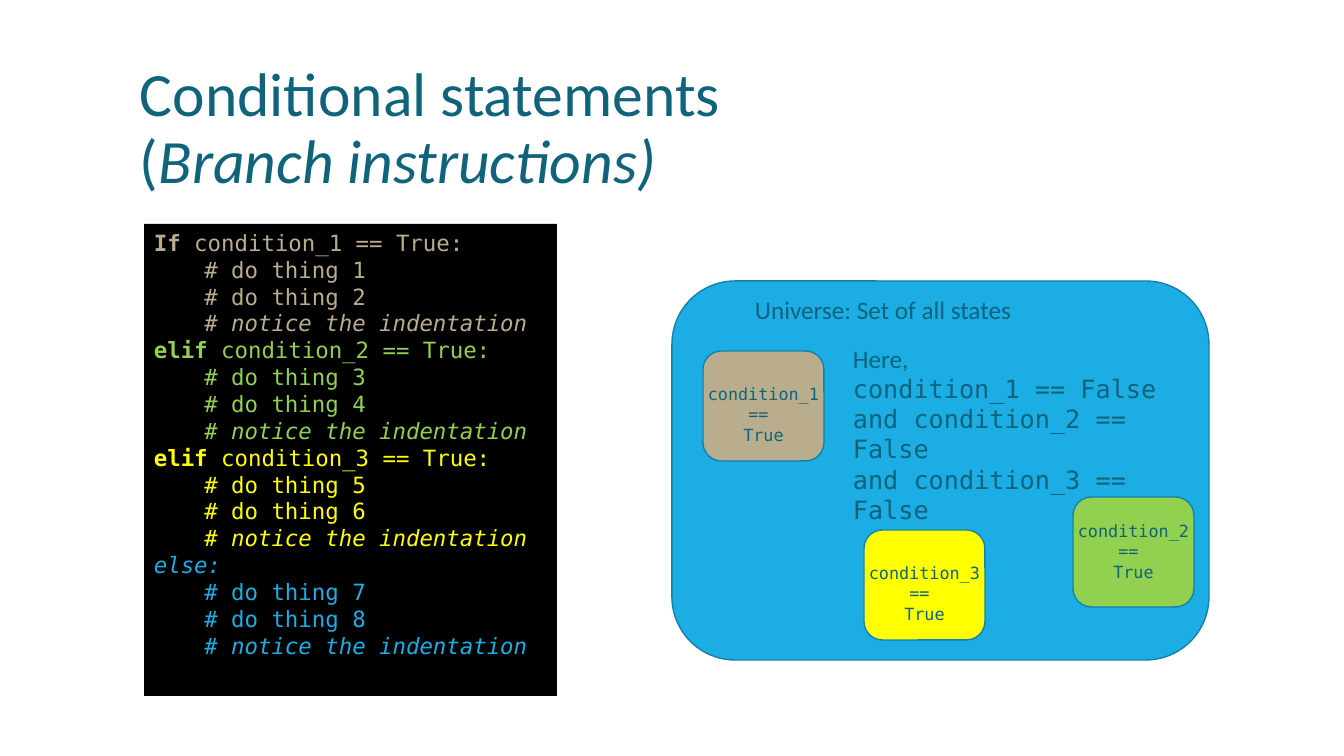
from pptx import Presentation
from pptx.dml.color import RGBColor
from pptx.enum.shapes import MSO_SHAPE
from pptx.enum.text import MSO_ANCHOR, PP_ALIGN
from pptx.util import Emu, Pt

SCALE = 914400 / 100.8
SANS, MONO = "Calibri", "DejaVu Sans Mono"
TEAL, EDGE, BLUE = "0F647B", "1580A9", "1CADE4"
TAN, GREEN, YELLOW, BLACK = "BAAD8D", "92D050", "FFFF00", "000000"


def px(n):
    return Emu(round(n * SCALE))


def color(code):
    return RGBColor.from_string(code)


def add_text(p, text, size=18, font=SANS, fill=TEAL, bold=False, italic=False):
    r = p.add_run()
    r.text = text
    f = r.font
    f.size, f.name, f.bold, f.italic = Pt(size), font, bold, italic
    f.color.rgb = color(fill)


class Deck:
    def __init__(self, width, height):
        self.prs = Presentation()
        self.prs.slide_width, self.prs.slide_height = px(width), px(height)
        self.s = self.prs.slides.add_slide(self.prs.slide_layouts[6])

    def shape(self, kind, box, fill, line=None):
        sp = self.s.shapes.add_shape(kind, *map(px, box))
        sp.shadow.inherit = False
        sp.fill.solid()
        sp.fill.fore_color.rgb = color(fill)
        if line:
            sp.line.color.rgb = color(line)
            sp.line.width = Pt(1)
        else:
            sp.line.fill.background()
        return sp

    def text_box(self, box, lines, align=PP_ALIGN.LEFT):
        """Each line is a (text, format) pair in its own paragraph."""
        tf = self.s.shapes.add_textbox(*map(px, box)).text_frame
        tf.word_wrap = True
        for i, (text, style) in enumerate(lines):
            p = tf.add_paragraph() if i else tf.paragraphs[0]
            p.alignment = align
            add_text(p, text, **style)
        return tf

    def code(self, box, branches):
        """Each branch is keyword, condition, keyword format, colour."""
        tf = self.shape(MSO_SHAPE.RECTANGLE, box, BLACK).text_frame
        tf.word_wrap = True
        tf.vertical_anchor = MSO_ANCHOR.TOP
        paragraphs = []

        def next_line():
            p = tf.add_paragraph() if paragraphs else tf.paragraphs[0]
            p.alignment = PP_ALIGN.LEFT
            paragraphs.append(p)
            return p

        for i, (keyword, condition, keyword_style, fill) in enumerate(branches):
            style = dict(size=16, font=MONO, fill=fill)
            p = next_line()
            add_text(p, keyword, **style, **keyword_style)
            if condition:
                add_text(p, condition, **style)
            things = [f"# do thing {2 * i + n}" for n in (1, 2)]
            for text in things + ["# notice the indentation"]:
                p = next_line()
                p.level = 1
                pPr = p._p.get_or_add_pPr()
                pPr.set("marL", "457200")
                pPr.set("indent", "0")
                add_text(p, text, italic="notice" in text, **style)


deck = Deck(1344, 756)

# Title
tf = deck.text_box((130, 46, 1080, 168),
                   [("Conditional statements", dict(size=44))])
tf.vertical_anchor = MSO_ANCHOR.MIDDLE
p = tf.paragraphs[0]
p.line_spacing = 0.9
p.add_line_break()
add_text(p, "(", size=44)
add_text(p, "Branch instructions)", size=44, italic=True)

# Universe of states
deck.shape(MSO_SHAPE.ROUNDED_RECTANGLE, (672, 281, 537, 379), BLUE, EDGE)
deck.text_box((745, 289, 290, 72), [("Universe: Set of all states", {})])

# One set per condition: left, top, colour, text offset
sets = [(703, 351, TAN, 28), (1073, 497, GREEN, 19), (864, 530, YELLOW, 28)]
for i, (x, y, fill, drop) in enumerate(sets, 1):
    deck.shape(MSO_SHAPE.ROUNDED_RECTANGLE, (x, y, 121, 110), fill, EDGE)
    small = dict(size=12, font=MONO)
    deck.text_box((x - 6, y + drop, 133, 72),
                  [(t, small) for t in (f"condition_{i} ", "== ", "True")],
                  PP_ALIGN.CENTER)

# States outside every set
mono = dict(font=MONO)
deck.text_box((843, 338, 369, 132), [
    ("Here, ", {}),
    ("condition_1 == False ", mono),
    ("and condition_2 == False ", mono),
    ("and condition_3 == False", mono)])

# Code listing
bold = dict(bold=True)
deck.code((144, 224, 413, 472), [
    ("If", " condition_1 == True:", bold, TAN),
    ("elif", " condition_2 == True:", bold, GREEN),
    ("elif", " condition_3 == True:", bold, YELLOW),
    ("else:", "", dict(italic=True), BLUE)])

deck.prs.save("out.pptx")
